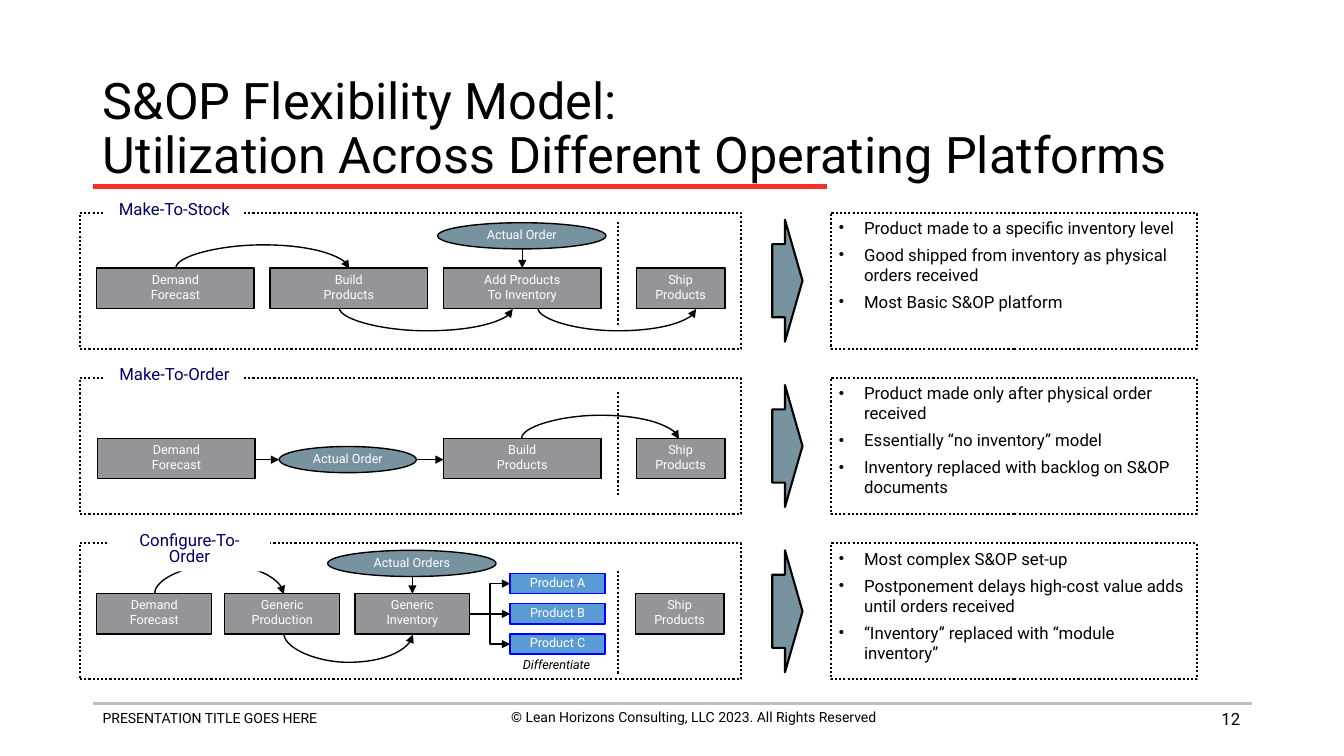
from lxml import etree
from pptx import Presentation
from pptx import util as u
from pptx.dml.color import RGBColor
from pptx.enum import dml, shapes, text
from pptx.oxml.ns import qn

FONT = "Roboto"
BLACK, WHITE, GRAY, SLATE = "000000", "FFFFFF", "939598", "76939F"
BLUE, BLUE_EDGE, NAVY, RED, SILVER = "5B9BD5", "0000FF", "000066", "EE3228", "BFBFBF"

TITLE = "S&OP Flexibility Model:\vUtilization Across Different Operating Platforms"
FOOTERS = [
    ("PRESENTATION TITLE GOES HERE", (0.92, 6.99, 4.56, 0.44), 10, "LEFT", "TOP"),
    ("© Lean Horizons Consulting, LLC 2023. All Rights Reserved", (4.6, 6.98, 4.56, 0.44), 10, "CENTER", "TOP"),
    ("12", (9.4, 6.93, 3, 0.4), 12, "RIGHT", "MIDDLE"),
]
PRODUCTS = ["Product A", "Product B", "Product C"]
PLATFORMS = [
    dict(
        label="Make-To-Stock", label_box=(1.04, 1.38, 0.26), step_top=0.55, divider_top=0.09,
        steps=[("Demand\nForecast", 0.96, 1.56), ("Build\nProducts", 2.68, 1.56),
               ("Add Products\nTo Inventory", 4.4, 1.56), ("Ship\nProducts", 6.31, 0.88)],
        order=("Actual Order", 4.34, 0.1, 1.67),
        arrows=[(5.18, 0.36, 5.18, 0.55)],
        arcs=[(1.74, 3.46, -0.23), (3.36, 5.08, 0.23), (5.33, 6.9, 0.23)],
        bullets=["Product made to a specific inventory level",
                 "Good shipped from inventory as physical orders received",
                 "Most Basic S&OP platform"],
    ),
    dict(
        label="Make-To-Order", label_box=(1.04, 1.38, 0.26), step_top=0.6, divider_top=0.14,
        steps=[("Demand\nForecast", 0.97, 1.56), ("Build\nProducts", 4.4, 1.56),
               ("Ship\nProducts", 6.31, 0.88)],
        order=("Actual Order", 2.77, 0.68, 1.36),
        arrows=[(2.53, 0.81, 2.77, 0.81), (4.13, 0.81, 4.4, 0.81)],
        arcs=[(5.17, 6.73, -0.23)],
        bullets=["Product made only after physical order received",
                 "Essentially “no inventory” model",
                 "Inventory replaced with backlog on S&OP documents"],
    ),
    dict(
        label="Configure-To-Order", label_box=(1.08, 1.6, 0.43), step_top=0.5, divider_top=0.27,
        steps=[("Demand\nForecast", 0.96, 1.14), ("Generic\nProduction", 2.23, 1.14),
               ("Generic\nInventory", 3.52, 1.14), ("Ship\nProducts", 6.3, 0.88)],
        order=("Actual Orders", 3.25, 0.07, 1.67),
        arrows=[(4.09, 0.32, 4.09, 0.5)],
        arcs=[(1.53, 2.81, -0.29), (2.81, 4.09, 0.29)],
        bullets=["Most complex S&OP set-up",
                 "Postponement delays high-cost value adds until orders received",
                 "“Inventory” replaced with “module inventory”"],
    ),
]
ROW_TOP, ROW_PITCH, ROW_HEIGHT = 2.11, 1.64, 1.35
STEP_HEIGHT, ORDER_HEIGHT, DIVIDER_X, DIVIDER_LENGTH = 0.4, 0.26, 6.13, 1.04
PRODUCT_LEFT, PRODUCT_WIDTH, PRODUCT_HEIGHT, PRODUCT_PITCH = 5.06, 0.94, 0.2, 0.3
INVENTORY_RIGHT, ARC_THICKNESS = 4.66, 0.01

presentation = Presentation()
presentation.slide_width, presentation.slide_height = u.Inches(13.33), u.Inches(7.5)
slide = presentation.slides.add_slide(presentation.slide_layouts[4])


def color(value):
    return RGBColor.from_string(value)


def place(shape, box):
    shape.left, shape.top, shape.width, shape.height = map(u.Inches, box)


def write(shape, content, size=9, ink=BLACK, align="CENTER", anchor="MIDDLE", spacing=1.0,
          gap=0, italic=False, wrap=True, inset=(0.1, 0.05), bullet=False):
    frame = shape.text_frame
    frame.text = content
    frame.auto_size = text.MSO_AUTO_SIZE.NONE
    frame.word_wrap = wrap
    frame.vertical_anchor = text.MSO_ANCHOR[anchor]
    frame.margin_left = frame.margin_right = u.Inches(inset[0])
    frame.margin_top = frame.margin_bottom = u.Inches(inset[1])
    for number, paragraph in enumerate(frame.paragraphs):
        paragraph.alignment = text.PP_ALIGN[align]
        paragraph.line_spacing = spacing
        paragraph.space_before = u.Pt(gap if number else 0)
        paragraph.space_after = u.Pt(0)
        if bullet:
            properties = paragraph._p.get_or_add_pPr()
            properties.set("marL", str(u.Inches(0.25)))
            properties.set("indent", str(-u.Inches(0.25)))
            etree.SubElement(properties, qn("a:buSzPct")).set("val", "90000")
            etree.SubElement(properties, qn("a:buChar")).set("char", "•")
        for run in paragraph.runs:
            font = run.font
            font.name, font.size, font.bold, font.italic = FONT, u.Pt(size), False, italic
            font.color.rgb = color(ink)


def add_text(content, box, **style):
    shape = slide.shapes.add_textbox(*map(u.Inches, box))
    write(shape, content, **style)


def outline(line, ink, width, dotted=False):
    line.color.rgb = color(ink)
    line.width = u.Pt(width)
    if dotted:
        line.dash_style = dml.MSO_LINE.ROUND_DOT


def add_box(kind, box, fill=None, edge=BLACK, width=1, dotted=False):
    shape = slide.shapes.add_shape(shapes.MSO_SHAPE[kind], *map(u.Inches, box))
    shape.shadow.inherit = False
    if fill:
        shape.fill.solid()
        shape.fill.fore_color.rgb = color(fill)
    else:
        shape.fill.background()
    if edge:
        outline(shape.line, edge, width, dotted)
    else:
        shape.line.fill.background()
    return shape


def add_node(kind, content, box, **look):
    write(add_box(kind, box, **look), content, ink=WHITE, spacing=0.8, gap=2, wrap=False)


def add_line(points, kind="STRAIGHT", ink=BLACK, width=1, dotted=False, arrow=False):
    connector = slide.shapes.add_connector(shapes.MSO_CONNECTOR[kind], *map(u.Inches, points))
    outline(connector.line, ink, width, dotted)
    if arrow:
        etree.SubElement(connector.line._get_or_add_ln(), qn("a:tailEnd")).set("type", "triangle")
    etree.SubElement(connector._element.spPr, qn("a:effectLst"))
    return connector


def add_arc(start, end, y, rise):
    middle, half = (start + end) / 2, (end - start) / 2
    arc = add_line((middle, y - half, middle + ARC_THICKNESS, y + half), "CURVE", arrow=True)
    properties = arc._element.spPr
    frame = properties.find(qn("a:xfrm"))
    frame.set("rot", str((90 if rise < 0 else 270) * 60000))
    frame.set("flipV" if rise < 0 else "flipH", "1")
    guide = etree.SubElement(properties.find(qn("a:prstGeom")).find(qn("a:avLst")), qn("a:gd"))
    guide.set("name", "adj1")
    guide.set("fmla", f"val {round(rise / ARC_THICKNESS * 100000)}")


def add_products(top):
    middle = top + 0.7
    for number, product in enumerate(PRODUCTS):
        y = middle + (number - 1) * PRODUCT_PITCH
        box = (PRODUCT_LEFT, y - PRODUCT_HEIGHT / 2, PRODUCT_WIDTH, PRODUCT_HEIGHT)
        add_node("RECTANGLE", product, box, fill=BLUE, edge=BLUE_EDGE)
        add_line((INVENTORY_RIGHT, middle, PRODUCT_LEFT, y),
                 "STRAIGHT" if y == middle else "ELBOW", arrow=True)
    add_text("Differentiate", (5.08, top + 1.11, 0.88, 0.22), italic=True, spacing=0.8, wrap=False)


def add_platform(platform, top, body):
    step_top = top + platform["step_top"]
    for content, left, width in platform["steps"]:
        add_node("RECTANGLE", content, (left, step_top, width, STEP_HEIGHT), fill=GRAY)
    content, left, offset, width = platform["order"]
    add_node("OVAL", content, (left, top + offset, width, ORDER_HEIGHT), fill=SLATE)
    for x1, y1, x2, y2 in platform["arrows"]:
        add_line((x1, top + y1, x2, top + y2), arrow=True)
    for start, end, rise in platform["arcs"]:
        add_arc(start, end, step_top if rise < 0 else step_top + STEP_HEIGHT, rise)
    divider_top = top + platform["divider_top"]
    add_line((DIVIDER_X, divider_top, DIVIDER_X, divider_top + DIVIDER_LENGTH), width=1.5, dotted=True)
    for left, width in ((0.79, 6.56), (8.24, 3.63)):
        add_box("RECTANGLE", (left, top, width, ROW_HEIGHT), width=1.5, dotted=True)
    left, width, height = platform["label_box"]
    label = add_box("RECTANGLE", (left, top - 0.15, width, height), fill=WHITE, edge=None)
    write(label, platform["label"], size=12, ink=NAVY, anchor="TOP", spacing=0.8)
    place(body, (8.24, top + 0.01, 3.66, 1.25))
    write(body, "\n".join(platform["bullets"]), size=12, align="LEFT", anchor="TOP", gap=4.8,
          inset=(0.08, 0.04), bullet=True)
    arrow = add_box("RIGHT_ARROW", (7.66, top + 0.07, 0.3, 1.21), fill=SLATE, width=1.5)
    arrow.adjustments[0], arrow.adjustments[1] = 0.6, 0.58


add_line((0.92, 6.98, 12.42, 6.98), ink=SILVER, width=2)
for content, box, size, align, anchor in FOOTERS:
    add_text(content, box, size=size, align=align, anchor=anchor)
add_line((0.92, 1.85, 8.2, 1.85), ink=RED, width=3)
title, *bodies = slide.placeholders
place(title, (0.92, 0.74, 11.5, 1.1))
write(title, TITLE, size=36, align="LEFT", spacing=0.9)
spare = bodies.pop()
spare._element.getparent().remove(spare._element)
for row, (platform, body) in enumerate(zip(PLATFORMS, bodies)):
    row_top = ROW_TOP + row * ROW_PITCH
    add_platform(platform, row_top, body)
    if row == len(PLATFORMS) - 1:
        add_products(row_top)

presentation.save("out.pptx")
